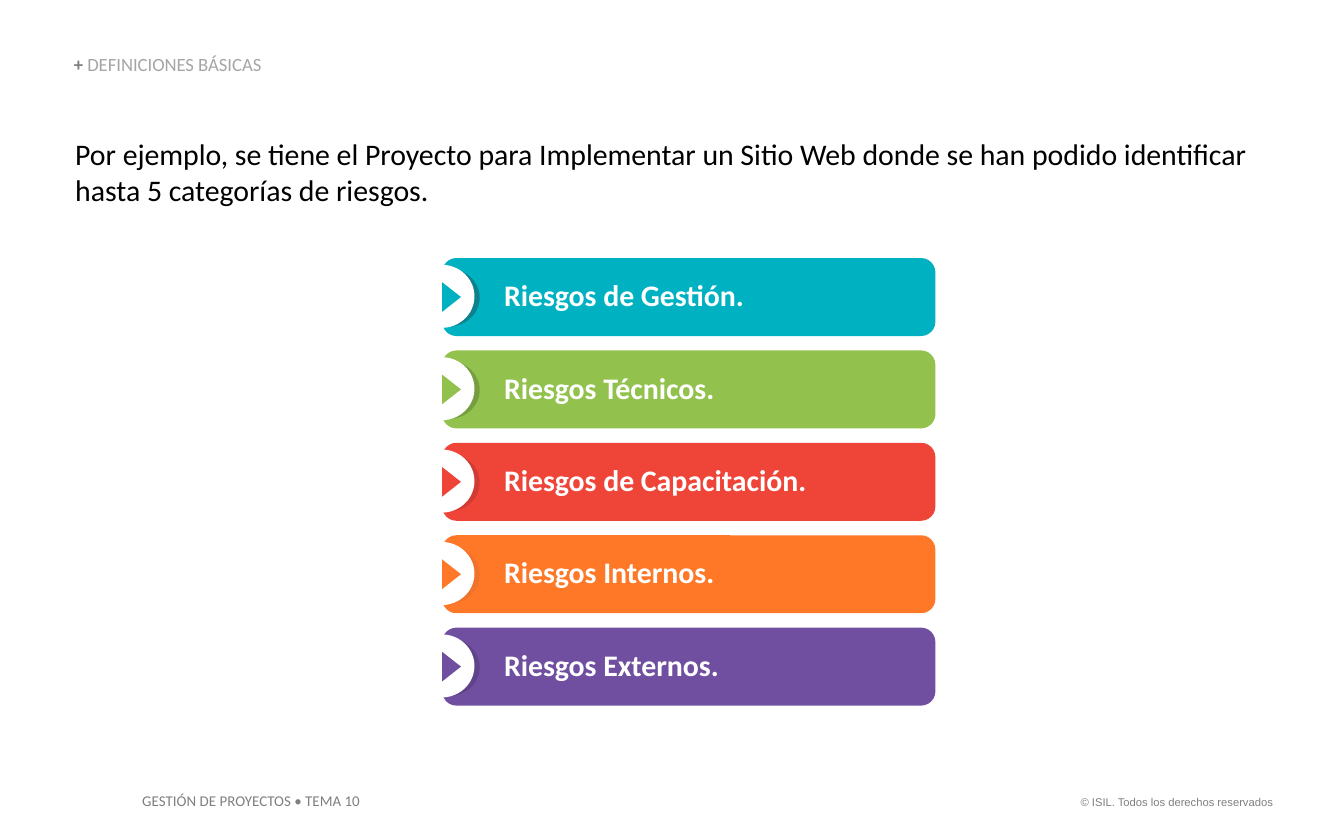
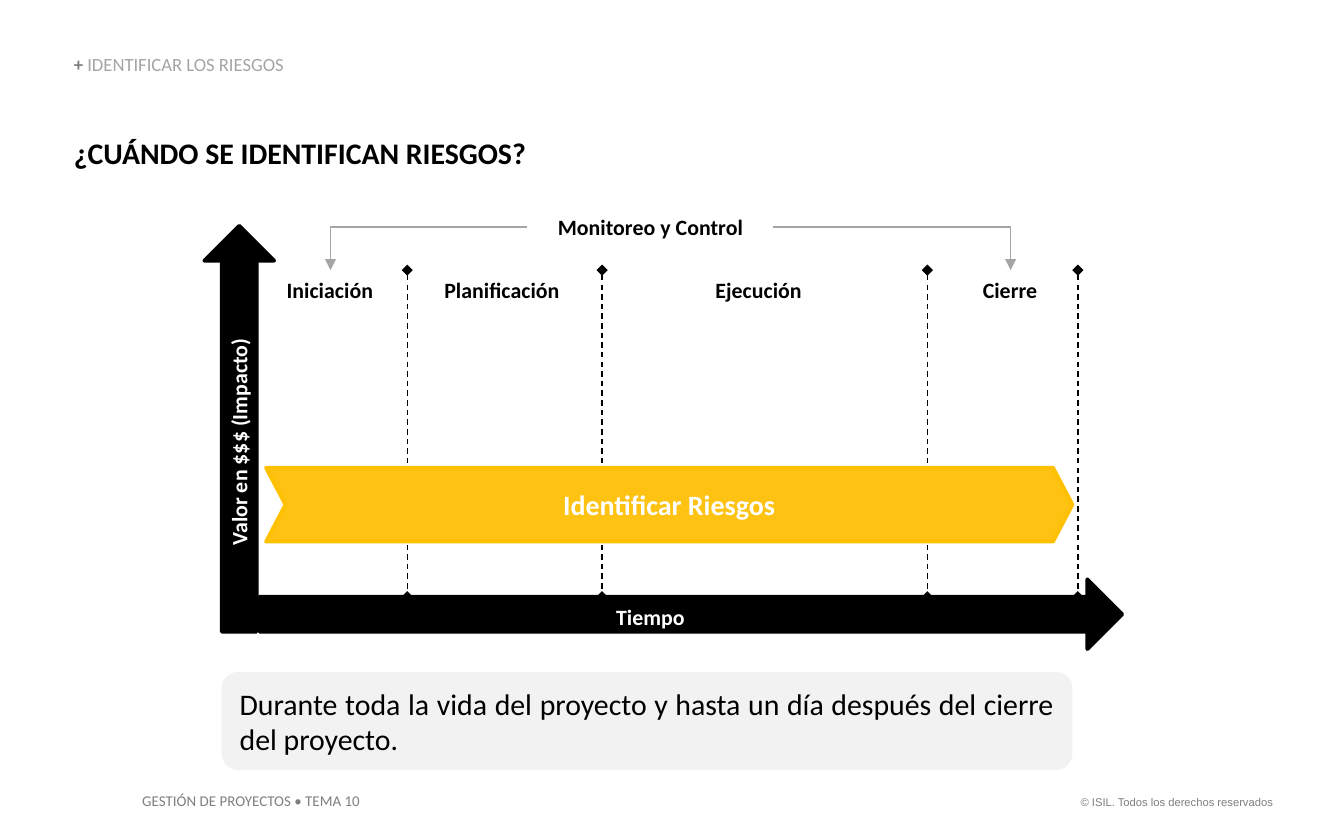
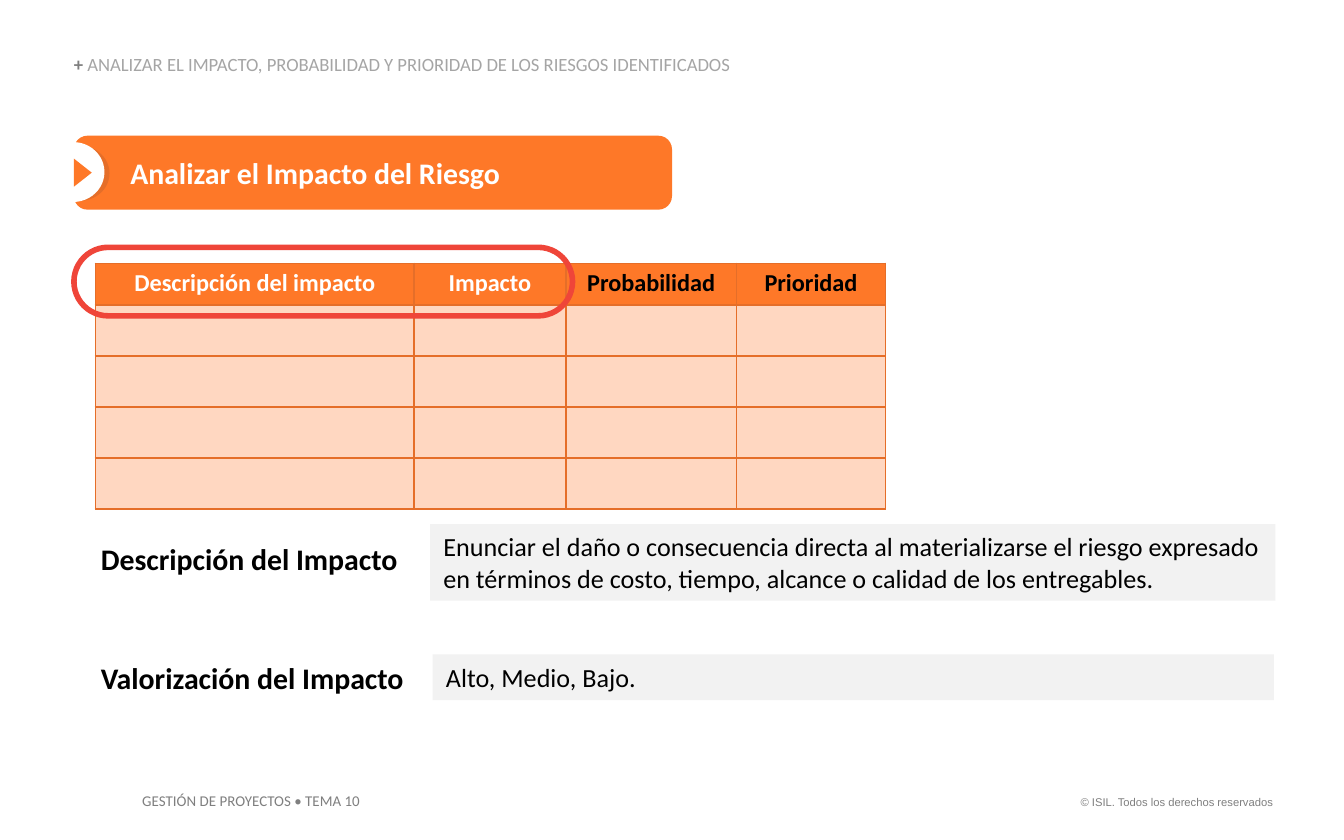
"""Build three slides on project risks: categories, timing and impact."""
import lxml.etree
import pptx
import pptx.dml.color
import pptx.enum.dml
import pptx.enum.shapes
import pptx.enum.text
import pptx.oxml.ns
import pptx.util

HUES = {
    "black": "000000", "white": "FFFFFF", "gray": "7F7F7F", "mist": "A5A5A5",
    "pale": "F2F2F2", "teal": "00B1C2", "sea": "0B828E", "green": "92C24D",
    "moss": "769E40", "red": "EF4539", "brick": "D23B33", "orange": "FE7828",
    "rust": "F1732B", "clay": "E56E29", "peach": "FFD7C1", "violet": "714FA0",
    "plum": "5F448B", "yellow": "FEC212", "gold": "FFC000",
}
FORMS = pptx.enum.shapes.MSO_SHAPE
LINKS = pptx.enum.shapes.MSO_CONNECTOR
ALIGN = pptx.enum.text.PP_ALIGN
ANCHOR = pptx.enum.text.MSO_ANCHOR
qn = pptx.oxml.ns.qn

deck = pptx.Presentation()
deck.slide_width = pptx.util.Inches(10)
deck.slide_height = pptx.util.Inches(6.25)
CELL = deck.slide_width // 1000


def tint(name):
    return pptx.dml.color.RGBColor.from_string(HUES[name])


def put(page, form, box, text="", size=16, hue="black", bold=False, fill=None,
        edge=None, width=2, align=ALIGN.LEFT, anchor=ANCHOR.TOP,
        pad=(10, 5, 10, 5), bends=(), lead=None, face="Calibri"):
    place = [int(n * CELL) for n in box]
    if form is None:
        item = page.shapes.add_textbox(*place)
    else:
        item = page.shapes.add_shape(form, *place)
        item.shadow.inherit = False
        for k, bend in enumerate(bends):
            item.adjustments[k] = bend
        if fill:
            item.fill.solid()
            item.fill.fore_color.rgb = tint(fill)
        else:
            item.fill.background()
        if edge:
            item.line.color.rgb = tint(edge)
            item.line.width = pptx.util.Pt(width)
        else:
            item.line.fill.background()
    if text:
        frame = item.text_frame
        frame.word_wrap = True
        frame.vertical_anchor = anchor
        (frame.margin_left, frame.margin_top,
         frame.margin_right, frame.margin_bottom) = [int(n * CELL) for n in pad]
        frame.text = text
        para = frame.paragraphs[0]
        para.alignment = align
        para.line_spacing = lead
        font = para.runs[0].font
        font.name, font.size, font.bold = face, pptx.util.Pt(size), bold
        font.color.rgb = tint(hue)
    return item


FLAT = (0, 0, 0, 0)
heads = [
    ("DEFINICIONES BÁSICAS", 266),
    ("IDENTIFICAR LOS RIESGOS", 400),
    ("ANALIZAR EL IMPACTO, PROBABILIDAD Y PRIORIDAD DE LOS RIESGOS IDENTIFICADOS", 519),
]
pages = []
for head, wide in heads:
    page = deck.slides.add_slide(deck.slide_layouts[6])
    pages.append(page)
    put(page, None, (791, 587, 166, 20), "© ISIL. Todos los derechos reservados",
        6, "gray", align=ALIGN.RIGHT, face="Arial")
    put(page, None, (96, 584, 185, 24), "GESTIÓN DE PROYECTOS • TEMA 10", 8, "gray")
    title = put(page, None, (55, 41, wide, 15), "+ ", 10, "gray", True,
                anchor=ANCHOR.BOTTOM, pad=FLAT, lead=0.9)
    run = title.text_frame.paragraphs[0].add_run()
    run.text = head
    run.font.name, run.font.size, run.font.bold = "Calibri", pptx.util.Pt(10), False
    run.font.color.rgb = tint("mist")
first, second, third = pages

put(first, None, (56, 101, 889, 54),
    "Por ejemplo, se tiene el Proyecto para Implementar un Sitio Web donde se han "
    "podido identificar hasta 5 categorías de riesgos.", pad=FLAT)

risks = [
    ("Riesgos de Gestión.", "teal", "sea"),
    ("Riesgos Técnicos.", "green", "moss"),
    ("Riesgos de Capacitación.", "red", "brick"),
    ("Riesgos Internos.", "orange", "rust"),
    ("Riesgos Externos.", "violet", "plum"),
]
bars = [(first, (329, 192 + 68.75 * k, 367, 58), *risk, 43, 0.9)
        for k, risk in enumerate(risks)]
bars.append((third, (55, 101, 445, 55), "Analizar el Impacto del Riesgo",
             "orange", "clay", 39, None))
for page, box, text, hue, shade, inset, lead in bars:
    left, top, wide, high = box
    put(page, FORMS.ROUNDED_RECTANGLE, box, text, 16, "white", True, hue,
        anchor=ANCHOR.MIDDLE, pad=(inset, 5, 10, 5), bends=[0.183], lead=lead)
    scale = high / 58
    for form, fill, x, y, w, h, turn in [
        (FORMS.OVAL, shade, -18, 8, 46, 43, 0),
        (FORMS.OVAL, "white", -25, 5, 49, 47, 0),
        (FORMS.ISOSCELES_TRIANGLE, hue, -4, 22, 22, 14, 90),
    ]:
        spot = (left + x * scale, top + y * scale, w * scale, h * scale)
        put(page, form, spot, fill=fill).rotation = turn

put(second, None, (55, 100, 542, 27), "¿CUÁNDO SE IDENTIFICAN RIESGOS?",
    bold=True, align=ALIGN.JUSTIFY, pad=FLAT)
for box, turn, text, spot, tilt in [
    ((152, 168, 52, 302), 0, "Valor en $$$ (Impacto)", (50, 314, 256, 30), 270),
    ((488, 136, 52, 642), 90, "Tiempo", (356, 444, 256, 30), 0),
]:
    put(second, FORMS.UP_ARROW, box, fill="black", edge="black").rotation = turn
    put(second, None, spot, text, 11.7, "white", True,
        align=ALIGN.CENTER).rotation = tilt

wires = [(LINKS.STRAIGHT, x, 201, x, 444) for x in (303, 448, 690, 802)]
wires += [(LINKS.ELBOW, 575, 169, 752, 201), (LINKS.ELBOW, 392, 169, 246, 201)]
for kind, *ends in wires:
    wire = second.shapes.add_connector(kind, *[n * CELL for n in ends])
    dashed = kind == LINKS.STRAIGHT
    wire.line.color.rgb = tint("black" if dashed else "mist")
    wire.line.width = pptx.util.Pt(0.75)
    props = wire._element.spPr
    if dashed:
        wire.line.dash_style = pptx.enum.dml.MSO_LINE.DASH
        tips = [("a:headEnd", "diamond"), ("a:tailEnd", "diamond")]
    else:
        props.find(qn("a:prstGeom")).set("prst", "bentConnector2")
        tips = [("a:tailEnd", "triangle")]
    for tag, tip in tips:
        lxml.etree.SubElement(props.find(qn("a:ln")), qn(tag), type=tip)
    lxml.etree.SubElement(props, qn("a:effectLst"))

for text, left, top, wide in [
    ("Iniciación", 165, 201, 161), ("Planificación", 293, 201, 161),
    ("Ejecución", 484, 201, 161), ("Cierre", 671, 201, 161),
    ("Monitoreo y Control", 392, 154, 184),
]:
    put(second, None, (left, top, wide, 30), text, 11.7, bold=True, align=ALIGN.CENTER)
put(second, FORMS.CHEVRON, (198, 348, 600, 55), "Identificar Riesgos", 15, "white",
    True, "yellow", "gold", align=ALIGN.CENTER, anchor=ANCHOR.MIDDLE, bends=[0.262])
put(second, FORMS.ROUNDED_RECTANGLE, (165, 500, 633, 73),
    "Durante toda la vida del proyecto y hasta un día después del cierre del proyecto.",
    fill="pale", align=ALIGN.JUSTIFY, anchor=ANCHOR.MIDDLE, bends=[0.167])

for term, top, text, box, right in [
    ("Descripción del Impacto", 402,
     "Enunciar el daño o consecuencia directa al materializarse el riesgo expresado "
     "en términos de costo, tiempo, alcance o calidad de los entregables.",
     (320, 390, 629, 57), 0),
    ("Valorización del Impacto", 491, "Alto, Medio, Bajo.", (322, 487, 626, 34), 10),
]:
    put(third, None, (75, top, 308, 27), term, bold=True, pad=FLAT)
    put(third, FORMS.RECTANGLE, box, text, 14, fill="pale", pad=(10, 5, right, 5))

names = ["Descripción del impacto", "Impacto", "Probabilidad", "Prioridad"]
wides = [237, 113, 127, 111]
highs = [31] + [37] * 4
grid = third.shapes.add_table(len(highs), len(wides), 71 * CELL, 196 * CELL,
                              sum(wides) * CELL, sum(highs) * CELL).table
grid.horz_banding = False
for col, wide in zip(grid.columns, wides):
    col.width = wide * CELL
for r, high in enumerate(highs):
    grid.rows[r].height = high * CELL
    for c, name in enumerate(names):
        cell = grid.cell(r, c)
        cell.margin_left = cell.margin_right = 7 * CELL
        cell.margin_top = cell.margin_bottom = 4 * CELL
        for side in ("a:lnL", "a:lnR", "a:lnT", "a:lnB"):
            rule = lxml.etree.SubElement(cell._tc.get_or_add_tcPr(), qn(side),
                                         w=str(pptx.util.Pt(1)))
            paint = lxml.etree.SubElement(rule, qn("a:solidFill"))
            lxml.etree.SubElement(paint, qn("a:srgbClr"), val=HUES["clay"])
        cell.fill.solid()
        cell.fill.fore_color.rgb = tint("peach" if r else "orange")
        if r == 0:
            para = cell.text_frame.paragraphs[0]
            para.text = name
            para.alignment = ALIGN.CENTER
            font = para.runs[0].font
            font.name, font.size, font.bold = "Calibri", pptx.util.Pt(13), True
            font.color.rgb = tint("white" if c < 2 else "black")
put(third, FORMS.ROUNDED_RECTANGLE, (55, 184, 371, 51), edge="red", width=3, bends=[0.5])

deck.save("out.pptx")
